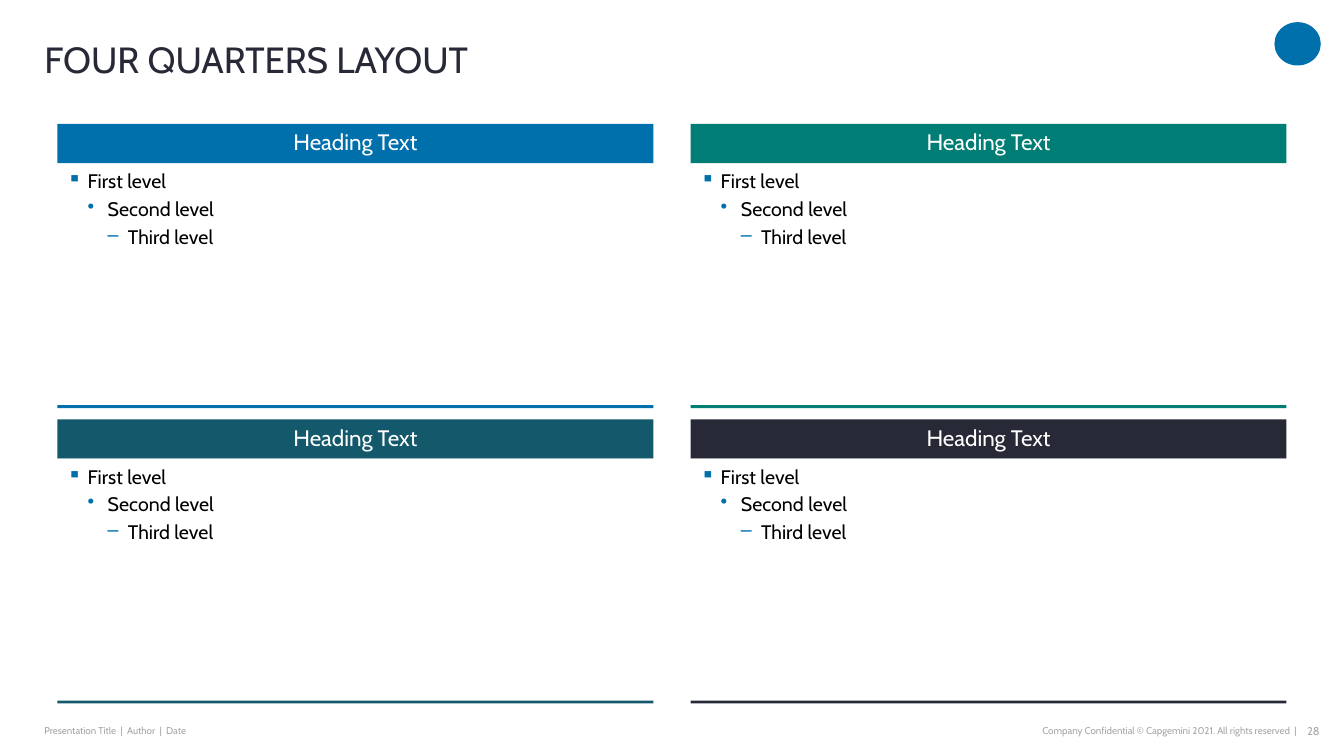
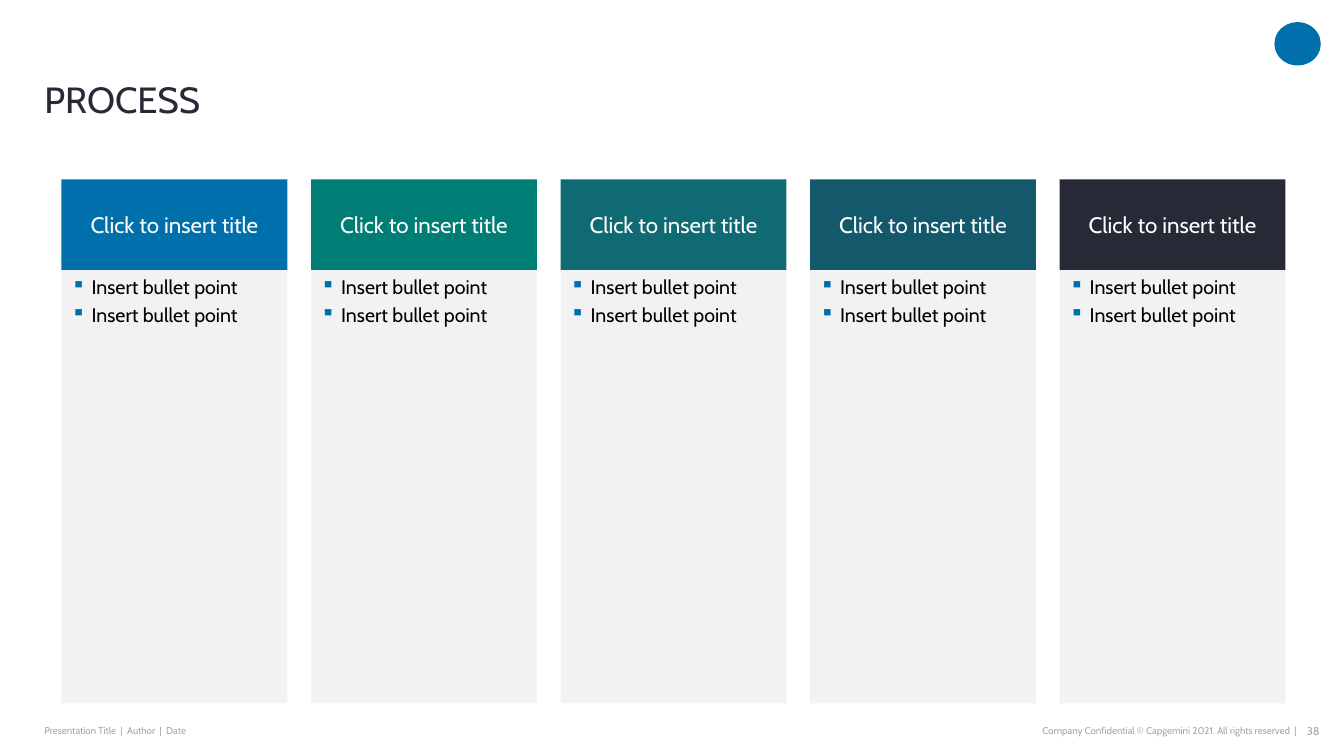
from dataclasses import dataclass
from lxml.etree import SubElement
from pptx import Presentation
from pptx.dml.color import RGBColor
from pptx.enum.shapes import MSO_SHAPE
from pptx.enum.text import MSO_ANCHOR, PP_ALIGN
from pptx.oxml.ns import qn
from pptx.util import Inches, Pt


@dataclass(frozen=True)
class Theme:
    font: str = "Cabin"
    blue: str = "0070AD"
    green: str = "007D74"
    teal: str = "0F6A73"
    petrol: str = "14596B"
    navy: str = "272936"
    white: str = "FFFFFF"
    black: str = "000000"
    panel: str = "F2F2F2"
    muted: str = "A6A6A6"
    title_size: int = 26
    heading_size: int = 16
    body_size: int = 14
    number_size: int = 8
    footer_size: int = 7
    indent: float = 0.2


theme = Theme()
LEFT, CENTER, RIGHT = PP_ALIGN.LEFT, PP_ALIGN.CENTER, PP_ALIGN.RIGHT
TOP, MIDDLE, BOTTOM = MSO_ANCHOR.TOP, MSO_ANCHOR.MIDDLE, MSO_ANCHOR.BOTTOM


def add_rect(s, at, fill, shape=MSO_SHAPE.RECTANGLE):
    sp = s.shapes.add_shape(shape, *map(Inches, at))
    sp.shadow.inherit = False
    sp.fill.solid()
    sp.fill.fore_color.rgb = RGBColor.from_string(fill)
    sp.line.fill.background()
    return sp


def write(sp, text, size=theme.body_size, color=theme.black, align=LEFT, anchor=TOP,
          inset=(0.1, 0.05), spacing=None, bullets=""):
    tf = sp.text_frame
    tf.word_wrap = True
    tf.vertical_anchor = anchor
    tf.margin_left = tf.margin_right = Inches(inset[0])
    tf.margin_top = tf.margin_bottom = Inches(inset[1])
    for i, line in enumerate(text.split("\n")):
        p = tf.add_paragraph() if i else tf.paragraphs[0]
        p.alignment = align
        if bullets:
            level = "▪•–".index(bullets[i]) + 1
            p.level = level
            pPr = p._p.get_or_add_pPr()
            pPr.set("marL", str(Inches(theme.indent * level)))
            pPr.set("indent", str(-Inches(theme.indent)))
            SubElement(SubElement(pPr, qn("a:buClr")), qn("a:srgbClr"), val=theme.blue)
            SubElement(pPr, qn("a:buChar"), char=bullets[i])
            if i:
                p.space_before = Pt(3)
        if spacing:
            p.line_spacing = spacing
        r = p.add_run()
        r.text = line
        r.font.name = theme.font
        r.font.size = Pt(size)
        r.font.color.rgb = RGBColor.from_string(color)


prs = Presentation()
prs.slide_width, prs.slide_height = Inches(13.33), Inches(7.5)

slides = []
for title, number, title_anchor in [("FOUR QUARTERS LAYOUT", "28", TOP), ("PROCESS", "38", BOTTOM)]:
    s = prs.slides.add_slide(prs.slide_layouts[6])
    slides.append(s)
    add_rect(s, (12.64, 0.22, 0.46, 0.43), theme.blue, MSO_SHAPE.OVAL)
    for text, left, width, size, align in [
        ("Presentation Title  |  Author  |  Date", 0.44, 3.73, theme.footer_size, LEFT),
        ("Company Confidential © Capgemini 2021. All rights reserved  |", 7.9, 4.96,
         theme.footer_size, RIGHT),
        (number, 12.84, 0.25, theme.number_size, RIGHT),
    ]:
        sp = s.shapes.add_textbox(*map(Inches, (left, 7.13, width, 0.24)))
        write(sp, text, size=size, color=theme.muted, align=align, anchor=MIDDLE, inset=(0, 0))
    sp = s.shapes.add_textbox(*map(Inches, (0.44, 0.42, 11.97, 0.78)))
    write(sp, title, size=theme.title_size, color=theme.navy, anchor=title_anchor,
          inset=(0, 0), spacing=0.9)

quarters, process = slides

width, head, body, rule = 5.91, 0.39, 2.43, 0.03
for i, color in enumerate([theme.blue, theme.green, theme.petrol, theme.navy]):
    row, col = divmod(i, 2)
    left, top = 0.57 + col * 6.28, 1.23 + row * 2.93
    sp = add_rect(quarters, (left, top, width, head), color)
    write(sp, "Heading Text", size=theme.heading_size, color=theme.white, align=CENTER,
          anchor=MIDDLE, spacing=0.9)
    sp = add_rect(quarters, (left, top + head, width, body), theme.white)
    write(sp, "First level\nSecond level\nThird level", inset=(0.1, 0.06), bullets="▪•–")
    add_rect(quarters, (left, top + head + body - rule, width, rule), color)

width, top, head, body = 2.24, 1.78, 0.9, 4.3
for i, color in enumerate([theme.blue, theme.green, theme.teal, theme.petrol, theme.navy]):
    left = 0.61 + i * 2.475
    sp = add_rect(process, (left, top, width, head), color)
    write(sp, "Click to insert title", size=theme.heading_size, color=theme.white,
          align=CENTER, anchor=MIDDLE)
    sp = add_rect(process, (left, top + head, width, body), theme.panel)
    write(sp, "Insert bullet point\nInsert bullet point", bullets="▪▪")

prs.save("out.pptx")
